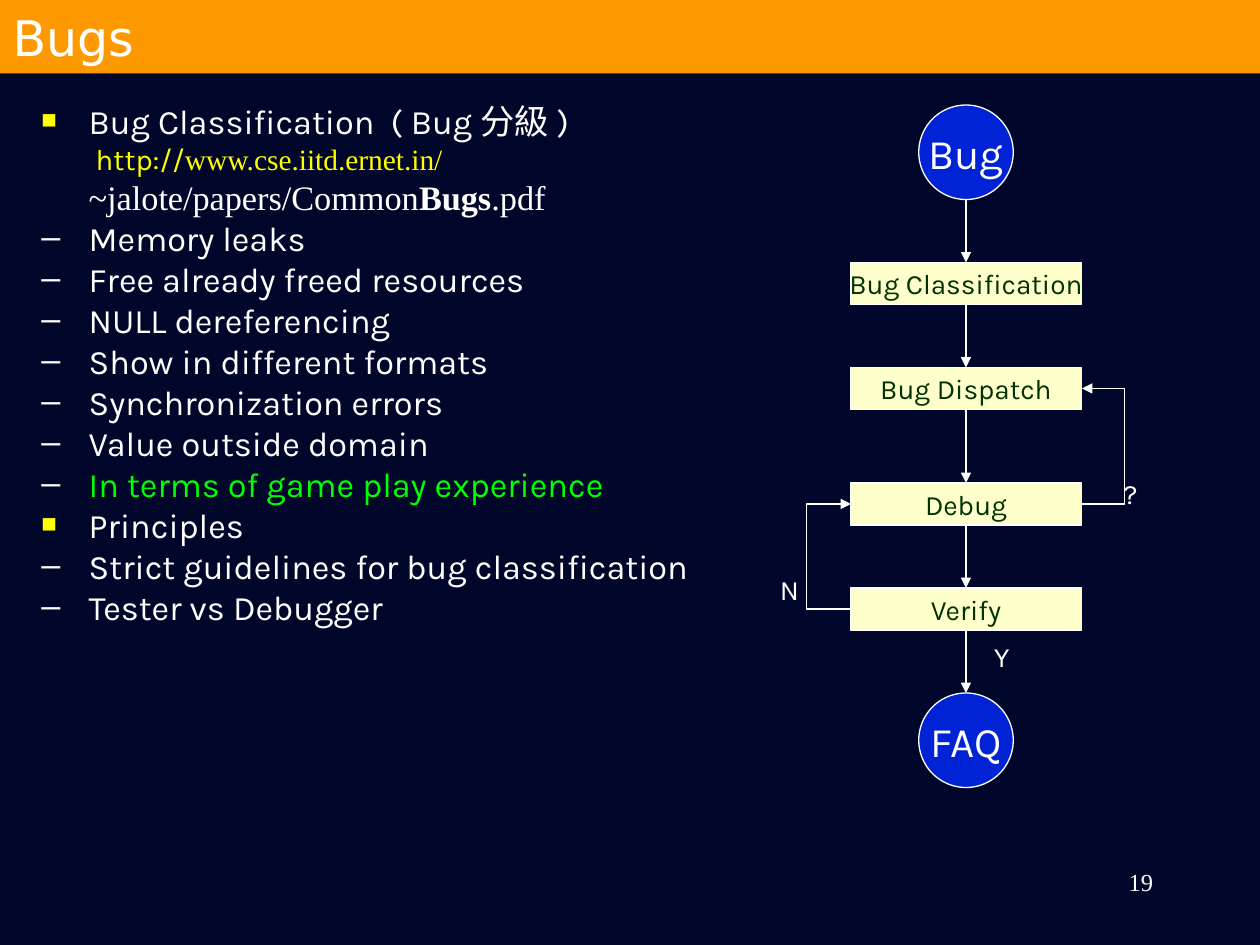
from lxml.etree import SubElement
from pptx import Presentation
from pptx.dml.color import RGBColor
from pptx.enum.shapes import MSO_CONNECTOR, MSO_SHAPE
from pptx.enum.text import MSO_ANCHOR, MSO_AUTO_SIZE, PP_ALIGN
from pptx.oxml.ns import qn
from pptx.util import Pt

NAVY = RGBColor(0x00, 0x07, 0x2A)
ORANGE = RGBColor(0xFF, 0x99, 0x00)
WHITE = RGBColor(0xFF, 0xFF, 0xFF)
YELLOW = RGBColor(0xFF, 0xFF, 0x00)
GREEN = RGBColor(0x00, 0xFF, 0x00)
BLUE = RGBColor(0x00, 0x23, 0xD5)
CREAM = RGBColor(0xFF, 0xFF, 0xCC)
DARK_GREEN = RGBColor(0x00, 0x33, 0x00)
KARLA, TIMES = "Karla", "Times New Roman"


def style(p, size, name, color):
    for r in p.runs:
        r.font.size = Pt(size)
        r.font.name = name
        r.font.color.rgb = color


def add_arrow(kind, x1, y1, x2, y2):
    cxn = s.shapes.add_connector(kind, Pt(x1), Pt(y1), Pt(x2), Pt(y2))
    cxn.line.color.rgb = WHITE
    cxn.line.width = Pt(0.75)
    SubElement(cxn.line._get_or_add_ln(), qn("a:tailEnd"), type="triangle")
    SubElement(cxn._element.spPr, qn("a:effectLst"))
    return cxn


prs = Presentation()
prs.slide_width, prs.slide_height = Pt(720), Pt(540)
s = prs.slides.add_slide(prs.slide_layouts[1])
s.background.fill.solid()
s.background.fill.fore_color.rgb = NAVY

title, body = s.shapes.title, s.placeholders[1]
title.left, title.top, title.width, title.height = Pt(0), Pt(0), Pt(720), Pt(42)
title.fill.solid()
title.fill.fore_color.rgb = ORANGE
tf = title.text_frame
tf.text = "Bugs"
tf.auto_size = MSO_AUTO_SIZE.NONE
tf.vertical_anchor = MSO_ANCHOR.MIDDLE
tf.paragraphs[0].alignment = PP_ALIGN.LEFT
style(tf.paragraphs[0], 28, "DejaVu Sans", WHITE)

body.left, body.top, body.width, body.height = Pt(16.5), Pt(60), Pt(678), Pt(306)
tf = body.text_frame
tf.auto_size = MSO_AUTO_SIZE.NONE
tf.vertical_anchor = MSO_ANCHOR.TOP

items = [
    ("■", 0, WHITE, 19.6, [("Bug Classification  ( Bug 分級 )", KARLA)]),
    ("", 2, YELLOW, 16.8, [("http://", KARLA), ("www.cse.iitd.ernet.in/", TIMES)]),
    ("", 1, WHITE, 19.6, [("~jalote/papers/Common", TIMES), ("Bugs", TIMES), (".pdf", TIMES)]),
    ("–", 1, WHITE, 19.6, [("Memory leaks", KARLA)]),
    ("–", 1, WHITE, 19.6, [("Free already freed resources", KARLA)]),
    ("–", 1, WHITE, 19.6, [("NULL dereferencing", KARLA)]),
    ("–", 1, WHITE, 19.6, [("Show in different formats", KARLA)]),
    ("–", 1, WHITE, 19.6, [("Synchronization errors", KARLA)]),
    ("–", 1, WHITE, 19.6, [("Value outside domain", KARLA)]),
    ("–", 1, GREEN, 19.6, [("In terms of game play experience", KARLA)]),
    ("■", 0, WHITE, 19.6, [("Principles", KARLA)]),
    ("–", 1, WHITE, 19.6, [("Strict guidelines for bug classification", KARLA)]),
    ("–", 1, WHITE, 19.6, [("Tester vs Debugger", KARLA)]),
]
for i, (bullet, level, color, size, runs) in enumerate(items):
    p = tf.add_paragraph() if i else tf.paragraphs[0]
    p.level = level
    p.line_spacing = 0.7
    p.space_before = Pt(0 if i == 0 else 6 if level == 2 else 7)
    pPr = p._p.get_or_add_pPr()
    pPr.set("marL", str(Pt(31 if level == 2 else 27)))
    pPr.set("indent", str(Pt(-27 if bullet else 0)))
    if bullet:
        clr = SubElement(pPr, qn("a:buClr"))
        SubElement(clr, qn("a:srgbClr"), val=str(YELLOW if bullet == "■" else WHITE))
        if bullet == "■":
            SubElement(pPr, qn("a:buSzPct"), val="75000")
        SubElement(pPr, qn("a:buChar"), char=bullet)
    else:
        SubElement(pPr, qn("a:buNone"))
    for text, name in runs:
        r = p.add_run()
        r.text = text
        r.font.size = Pt(size)
        r.font.name = name
        r.font.color.rgb = color
        r.font.bold = text == "Bugs"

MID_X = 552
BOX, CIRCLE = MSO_SHAPE.RECTANGLE, MSO_SHAPE.OVAL
steps = [
    ("Bug", CIRCLE, 60),
    ("Bug Classification", BOX, 150),
    ("Bug Dispatch", BOX, 210),
    ("Debug", BOX, 276),
    ("Verify", BOX, 336),
    ("FAQ", CIRCLE, 396),
]
bottom = None
for text, kind, top in steps:
    w, h, fill, size, color = (54, 54, BLUE, 24, WHITE) if kind == CIRCLE else (132, 24, CREAM, 16, DARK_GREEN)
    sp = s.shapes.add_shape(kind, Pt(MID_X - w / 2), Pt(top), Pt(w), Pt(h))
    sp.shadow.inherit = False
    sp.fill.solid()
    sp.fill.fore_color.rgb = fill
    sp.line.color.rgb = WHITE
    sp.line.width = Pt(0.75)
    tf = sp.text_frame
    tf.text = text
    tf.word_wrap = False
    tf.vertical_anchor = MSO_ANCHOR.MIDDLE
    tf.paragraphs[0].alignment = PP_ALIGN.CENTER
    style(tf.paragraphs[0], size, KARLA, color)
    if bottom is not None:
        add_arrow(MSO_CONNECTOR.STRAIGHT, MID_X, bottom, MID_X, top)
    bottom = top + h

STEP = 0.25
for x, y1, y2, reach in [(486, 348, 288, -24.5), (618, 288, 222, 24.25)]:
    cxn = add_arrow(MSO_CONNECTOR.ELBOW, x, y1, x + STEP, y2)
    adj = cxn._element.spPr.find(qn("a:prstGeom")).get_or_add_avLst()
    SubElement(adj, qn("a:gd"), name="adj1", fmla=f"val {int(reach / STEP * 100000)}")

labels = [
    ("Y", 561, 362, 23, 27, 16, KARLA, PP_ALIGN.LEFT),
    ("N", 438.5, 323.5, 27, 27, 16, KARLA, PP_ALIGN.LEFT),
    ("?", 635, 268.5, 22, 27, 16, KARLA, PP_ALIGN.LEFT),
    ("19", 516, 492, 150, 36, 14, TIMES, PP_ALIGN.RIGHT),
]
for text, x, y, w, h, size, name, align in labels:
    sp = s.shapes.add_textbox(Pt(x), Pt(y), Pt(w), Pt(h))
    tf = sp.text_frame
    tf.text = text
    tf.word_wrap = align == PP_ALIGN.RIGHT
    tf.paragraphs[0].alignment = align
    style(tf.paragraphs[0], size, name, WHITE)

prs.save("out.pptx")
